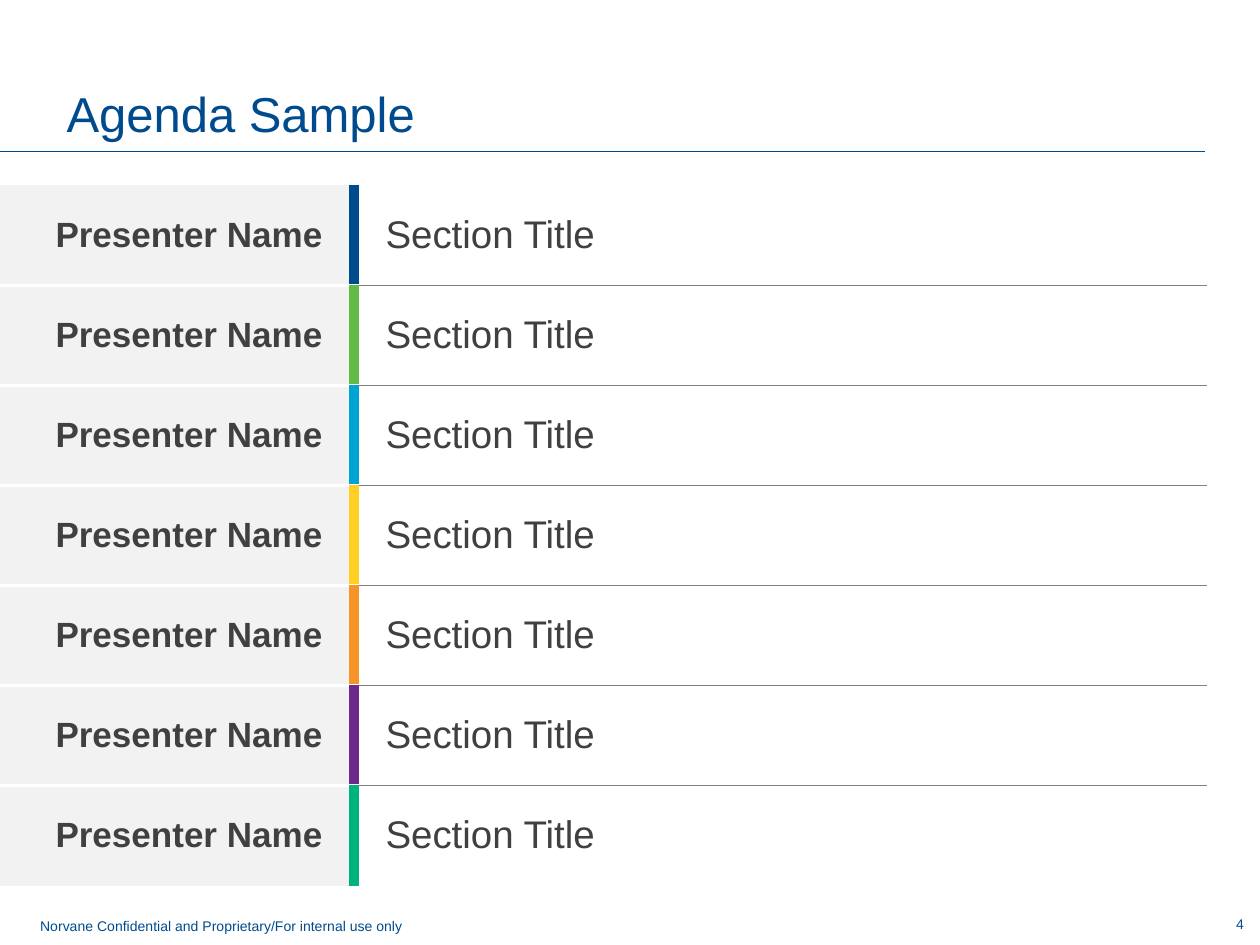
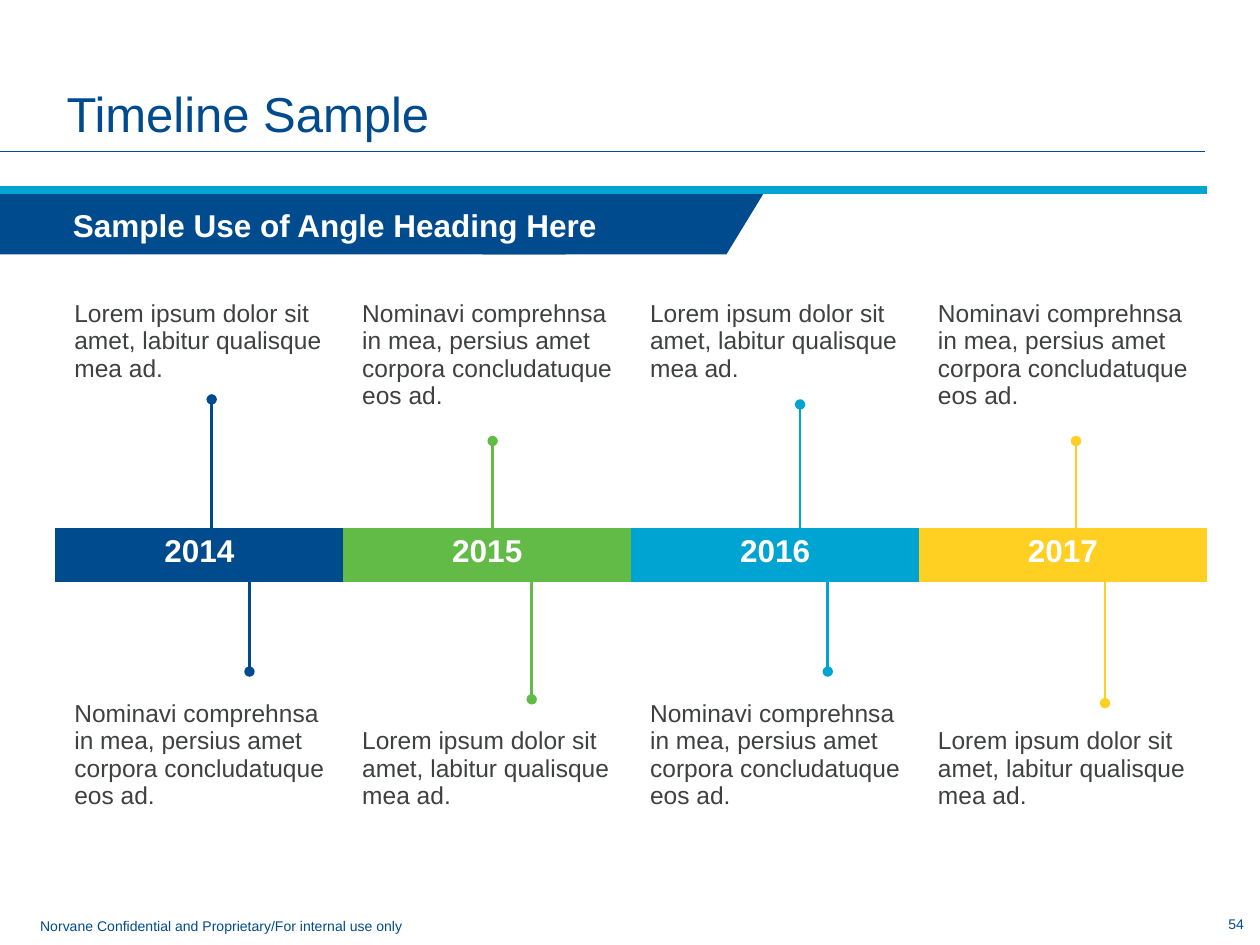
from lxml import etree
from pptx import Presentation
from pptx.dml.color import RGBColor
from pptx.enum.shapes import MSO_CONNECTOR, MSO_SHAPE
from pptx.enum.text import MSO_ANCHOR, PP_ALIGN
from pptx.oxml.ns import qn
from pptx.util import Inches, Pt

LEFT, CENTER, RIGHT = PP_ALIGN.LEFT, PP_ALIGN.CENTER, PP_ALIGN.RIGHT
TOP, MIDDLE, BOTTOM = MSO_ANCHOR.TOP, MSO_ANCHOR.MIDDLE, MSO_ANCHOR.BOTTOM
STRAIGHT = MSO_CONNECTOR.STRAIGHT
RECTANGLE, PARALLELOGRAM = MSO_SHAPE.RECTANGLE, MSO_SHAPE.PARALLELOGRAM

COLORS = {
    "blue": "004B8D", "green": "62BB46", "cyan": "00A4D2", "yellow": "FFCF22",
    "orange": "F79428", "purple": "6E298D", "teal": "00B37E",
    "text": "3F4040", "panel": "F2F2F2", "rule": "808080", "white": "FFFFFF",
}
FONT = "Arial"
PLAIN_TABLE = "{2D5ABB26-0587-4C30-8999-92F81FD0307C}"

# The slide is a grid of 100 columns by 75 rows; boxes are left, top, width, height.
COLUMNS, ROWS = 100, 75
SLIDE_WIDTH, SLIDE_HEIGHT = Inches(10), Inches(7.5)
TITLE_BOX = (4.3, 1.4, 91.4, 10.4)
FOOTER_BOX = (2.2, 72.3, 91.2, 2.7)
NUMBER_BOX = (93.8, 72.3, 5.9, 2.1)
AGENDA_BOX = (0, 14.7, 95.8, 55.6)
HEADING_BOX = (0, 15.1, 95.8, 5.1)
TIMELINE_BOX = (4.4, 23.3, 91.4, 41.5)

FOOTER = "Norvane Confidential and Proprietary/For internal use only"
AGENDA = [("Presenter Name", "Section Title", color) for color in
          ("blue", "green", "cyan", "yellow", "orange", "purple", "teal")]
SHORT = "Lorem ipsum dolor sit amet, labitur qualisque mea ad."
LONG = "Nominavi comprehnsa in mea, persius amet corpora concludatuque eos ad."
# year, color, text above, text below, stem above and stem below
# (a stem is its offset into the year's column and its length)
TIMELINE = [
    ("2014", "blue", SHORT, LONG, (12.4, 10.2), (15.4, 7.1)),
    ("2015", "green", LONG, SHORT, (11.85, 6.9), (14.95, 9.3)),
    ("2016", "cyan", SHORT, LONG, (13.4, 9.8), (15.6, 7.1)),
    ("2017", "yellow", LONG, SHORT, (12.45, 6.9), (14.75, 9.6)),
]


def across(columns):
    return round(SLIDE_WIDTH * columns / COLUMNS)


def down(rows):
    return round(SLIDE_HEIGHT * rows / ROWS)


def place(box):
    left, top, width, height = box
    return across(left), down(top), across(width), down(height)


def rgb(color):
    return RGBColor.from_string(COLORS[color])


def write(frame, text, size, color, bold=False, align=LEFT, spacing=None):
    frame.text = text
    paragraph = frame.paragraphs[0]
    paragraph.alignment = align
    if spacing:
        paragraph.line_spacing = spacing
    font = paragraph.runs[0].font
    font.name, font.size, font.bold = FONT, Pt(size), bold
    font.color.rgb = rgb(color)


def add_text(slide, box, text, size, color, anchor=TOP, **style):
    frame = slide.shapes.add_textbox(*place(box)).text_frame
    frame.word_wrap = True
    frame.vertical_anchor = anchor
    write(frame, text, size, color, **style)


def add_line(slide, start, end, color, width, dot=False):
    """Draw a line between two grid points, with a dot at its start if asked."""
    line = slide.shapes.add_connector(
        STRAIGHT, across(start[0]), down(start[1]), across(end[0]), down(end[1]))
    line.line.color.rgb = rgb(color)
    line.line.width = Pt(width)
    properties = line._element.spPr
    if dot:
        etree.SubElement(properties.find(qn("a:ln")), qn("a:headEnd"), type="oval")
    etree.SubElement(properties, qn("a:effectLst"))


def add_block(slide, kind, box, color):
    block = slide.shapes.add_shape(kind, *place(box))
    block.shadow.inherit = False
    block.fill.solid()
    block.fill.fore_color.rgb = rgb(color)
    block.line.fill.background()
    return block


def add_plain_table(slide, box, widths, heights):
    """Add a table without style, with its columns and rows in grid units."""
    table = slide.shapes.add_table(len(heights), len(widths), *place(box)).table
    table.first_row = table.horz_banding = False
    table._tbl.tblPr.find(qn("a:tableStyleId")).text = PLAIN_TABLE
    for column, width in zip(table.columns, widths):
        column.width = across(width)
    for row, height in zip(table.rows, heights):
        row.height = down(height)
    return table


def fill_cell(cell, text, size, color, fill=None, anchor=TOP, sides=(1, 1), **style):
    """Write a cell; sides are its left and right margins in columns."""
    cell.margin_left, cell.margin_right = map(across, sides)
    cell.vertical_anchor = anchor
    write(cell.text_frame, text, size, color, **style)
    if fill:
        cell.fill.solid()
        cell.fill.fore_color.rgb = rgb(fill)
    else:
        cell.fill.background()


def set_borders(cell, borders):
    """Set borders from (side, color, points), sides in the order L, R, T, B."""
    properties = cell._tc.get_or_add_tcPr()
    for position, (side, color, points) in enumerate(borders):
        border = etree.Element(qn(f"a:ln{side}"), w=str(Pt(points)))
        solid = etree.SubElement(border, qn("a:solidFill"))
        etree.SubElement(solid, qn("a:srgbClr"), val=COLORS[color])
        properties.insert(position, border)


def add_frame(deck, title, number):
    """Start a slide with the shared title, rule, footer and number."""
    slide = deck.slides.add_slide(deck.slide_layouts[6])
    add_text(slide, NUMBER_BOX, number, 8, "blue", anchor=MIDDLE, align=RIGHT)
    add_line(slide, (0, 12), (95.6, 12), "blue", 0.75)
    add_text(slide, TITLE_BOX, title, 28, "blue", anchor=BOTTOM, spacing=0.85)
    add_text(slide, FOOTER_BOX, FOOTER, 8, "blue")
    return slide


def add_agenda(slide, box):
    width, height = box[2:]
    presenter_width = 28.1
    table = add_plain_table(slide, box, (presenter_width, width - presenter_width),
                            [height / len(AGENDA)] * len(AGENDA))
    last = len(AGENDA) - 1
    for row, (presenter, section, color) in enumerate(AGENDA):
        name, topic = table.cell(row, 0), table.cell(row, 1)
        fill_cell(name, presenter, 20, "text", fill="panel", anchor=MIDDLE,
                  sides=(1, 2.5), bold=True, align=RIGHT)
        fill_cell(topic, section, 22, "text", anchor=MIDDLE, sides=(2.5, 1))
        inner_sides = ["T"] * (row > 0) + ["B"] * (row < last)
        set_borders(name, [("R", color, 6)] + [(s, "white", 2.25) for s in inner_sides])
        set_borders(topic, [("L", color, 6)] + [(s, "rule", 1) for s in inner_sides])


def add_angle_heading(slide, box, text):
    left, top, width, height = box
    band_top, band_height = top + 0.1, height - 0.1
    slant = add_block(slide, PARALLELOGRAM,
                      (left + 38.3, band_top, 22.4, band_height), "blue")
    slant.adjustments[0] = 0.61
    add_block(slide, RECTANGLE, (left, band_top, 44.9, band_height), "blue")
    add_line(slide, (left, top), (left + width, top), "cyan", 4.5)
    add_text(slide, (left + 4.8, top + 0.6, 50.9, 4), text, 18, "white",
             bold=True, spacing=1.05)


def add_timeline(slide, box):
    left, top, width, height = box
    band_height = 4.3
    text_height = (height - band_height) / 2
    year_width = width / len(TIMELINE)
    band_top = top + text_height
    band_bottom = band_top + band_height
    table = add_plain_table(slide, box, [year_width] * len(TIMELINE),
                            (text_height, band_height, text_height))
    for column, (year, color, above, below, rise, drop) in enumerate(TIMELINE):
        fill_cell(table.cell(0, column), above, 14, "text", sides=(1.5, 1.5))
        fill_cell(table.cell(1, column), year, 18, "white", fill=color,
                  bold=True, align=CENTER)
        fill_cell(table.cell(2, column), below, 14, "text", anchor=BOTTOM,
                  sides=(1.5, 1.5))
        year_left = left + column * year_width
        for (offset, length), edge, direction in ((rise, band_top, -1),
                                                  (drop, band_bottom, 1)):
            x = year_left + offset
            add_line(slide, (x, edge + direction * length), (x, edge), color, 1.5,
                     dot=True)


def main():
    deck = Presentation()
    deck.slide_width, deck.slide_height = SLIDE_WIDTH, SLIDE_HEIGHT
    add_agenda(add_frame(deck, "Agenda Sample", "4"), AGENDA_BOX)
    timeline = add_frame(deck, "Timeline Sample", "54")
    add_timeline(timeline, TIMELINE_BOX)
    add_angle_heading(timeline, HEADING_BOX, "Sample Use of Angle Heading Here")
    deck.save("out.pptx")


if __name__ == "__main__":
    main()
